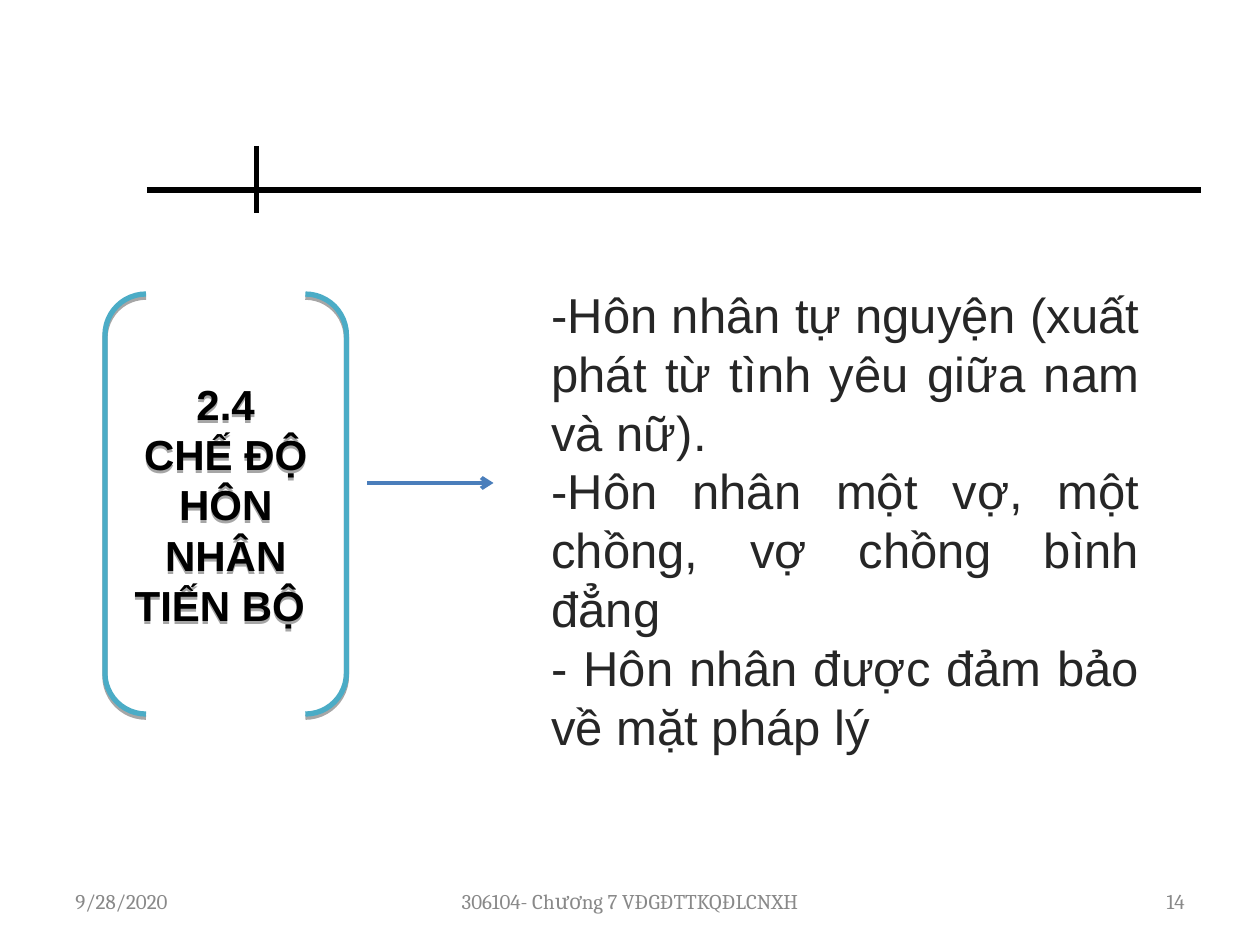
from dataclasses import dataclass

from lxml.etree import SubElement
from pptx import Presentation
from pptx.dml.color import RGBColor as RGB
from pptx.enum.shapes import MSO_CONNECTOR as CONN, MSO_SHAPE as SHAPE
from pptx.enum.text import MSO_ANCHOR as ANCHOR, PP_ALIGN as ALIGN
from pptx.oxml.ns import qn
from pptx.util import Inches, Pt


@dataclass(frozen=True)
class Theme:
    width: float = 10
    height: float = 7.5
    black: str = "000000"
    body: str = "262626"
    muted: str = "898989"
    teal: str = "4BACC6"
    blue: str = "4A7EBB"
    sans: str = "Arial"
    serif: str = "Cambria"
    label_size: int = 24
    body_size: int = 28
    footer_size: int = 12
    heavy: float = 3
    medium: float = 2.25


T = Theme()
COL = T.width / 120
ROW = T.height / 90


def grid(*cells):
    return [Inches(c * (ROW if i % 2 else COL)) for i, c in enumerate(cells)]


def write(sp, paragraphs, font=T.sans, size=T.body_size, color=T.body,
          bold=False, align=ALIGN.LEFT):
    tf = sp.text_frame
    tf.word_wrap = True
    tf.vertical_anchor = ANCHOR.MIDDLE
    for i, text in enumerate(paragraphs):
        p = tf.add_paragraph() if i else tf.paragraphs[0]
        p.alignment = align
        r = p.add_run()
        r.text = text
        r.font.name, r.font.size, r.font.bold = font, Pt(size), bold
        r.font.color.rgb = RGB.from_string(color)


def add_line(s, start, end, color=T.black, width=T.heavy, arrow=False):
    line = s.shapes.add_connector(CONN.STRAIGHT, *grid(*start), *grid(*end))
    line.line.color.rgb = RGB.from_string(color)
    line.line.width = Pt(width)
    if arrow:
        SubElement(line.line._get_or_add_ln(), qn("a:tailEnd"), type="arrow")
    SubElement(line._element.spPr, qn("a:effectLst"))


def add_bracket(s, box, paragraphs, outline=None, **style):
    sp = s.shapes.add_shape(SHAPE.DOUBLE_BRACKET, *grid(*box))
    sp.adjustments[0] = 0.17
    sp.fill.background()
    sp.shadow.inherit = False
    if outline:
        sp.line.color.rgb = RGB.from_string(outline)
        sp.line.width = Pt(T.heavy)
        add_shadow(sp)
    else:
        sp.line.fill.background()
    write(sp, paragraphs, **style)


def add_shadow(sp):
    effects = sp._element.spPr.find(qn("a:effectLst"))
    shadow = SubElement(effects, qn("a:outerShdw"), blurRad="0",
                        dist=str(Pt(1.8)), dir="5400000", rotWithShape="0")
    color = SubElement(shadow, qn("a:srgbClr"), val=T.black)
    SubElement(color, qn("a:alpha"), val="35000")


def add_footer(s, left, width, text, align):
    sp = s.shapes.add_textbox(*grid(left, 83.4, width, 4.8))
    write(sp, [text], font=T.serif, size=T.footer_size, color=T.muted, align=align)


def main():
    prs = Presentation()
    prs.slide_width, prs.slide_height = Inches(T.width), Inches(T.height)
    s = prs.slides.add_slide(prs.slide_layouts[6])

    add_line(s, (14, 18.1), (114.4, 18.1))
    add_line(s, (24.4, 13.9), (24.4, 20.3))
    add_bracket(s, (10, 28, 23, 40), ["2.4", "CHẾ ĐỘ HÔN NHÂN TIẾN BỘ "],
                outline=T.teal, size=T.label_size, color=T.black, bold=True,
                align=ALIGN.CENTER)
    add_bracket(s, (49, 26, 63, 47), [
        "-Hôn nhân tự nguyện (xuất phát từ tình yêu giữa nam và nữ).",
        "-Hôn nhân một vợ, một chồng, vợ chồng bình đẳng",
        "- Hôn nhân được đảm bảo về mặt pháp lý",
    ], align=ALIGN.JUSTIFY)
    add_line(s, (35, 46), (47, 46), T.blue, T.medium, arrow=True)

    add_footer(s, 6, 28, "9/28/2020", ALIGN.LEFT)
    add_footer(s, 41, 38, "306104- Chương 7 VĐGĐTTKQĐLCNXH", ALIGN.CENTER)
    add_footer(s, 86, 28, "14", ALIGN.RIGHT)
    prs.save("out.pptx")


if __name__ == "__main__":
    main()
